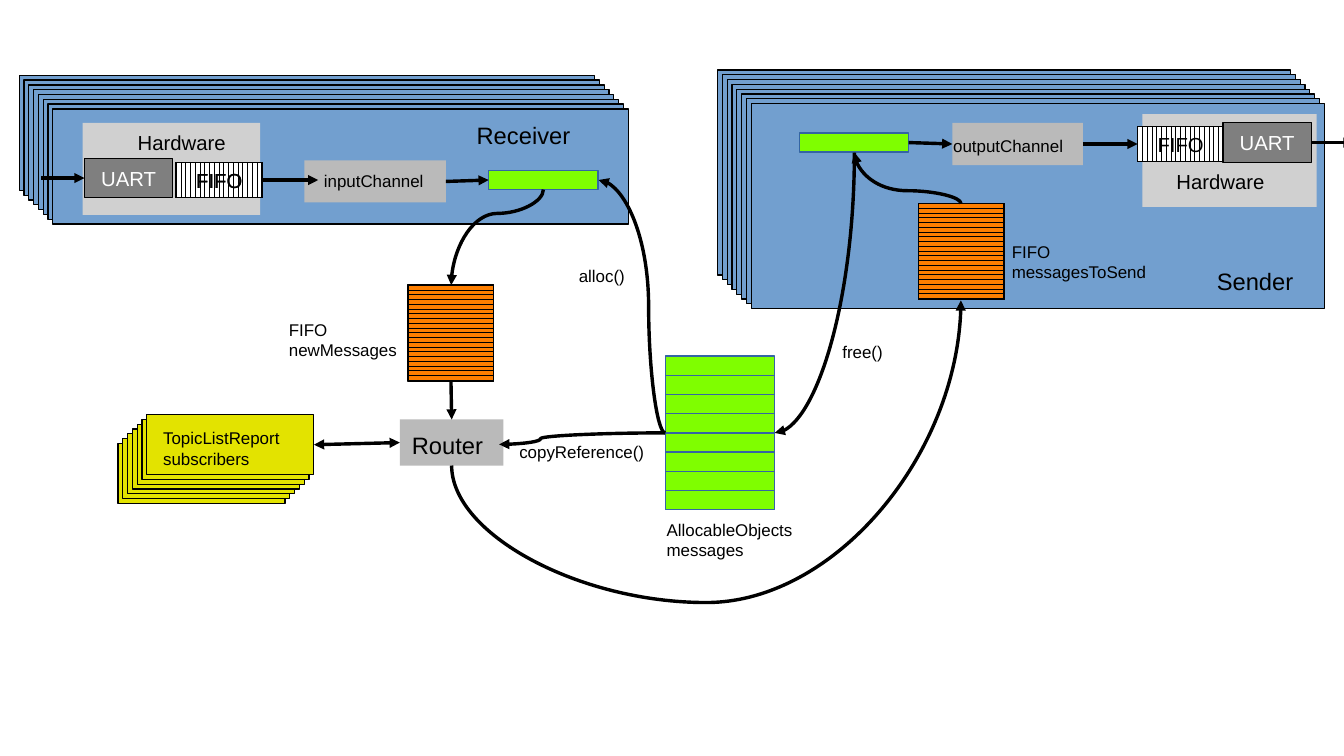
from math import cos, radians, sin

from lxml.etree import SubElement
from pptx import Presentation
from pptx.dml.color import RGBColor
from pptx.enum.dml import MSO_PATTERN
from pptx.enum.shapes import MSO_CONNECTOR, MSO_SHAPE
from pptx.enum.text import MSO_ANCHOR, PP_ALIGN
from pptx.oxml.ns import qn
from pptx.util import Cm, Pt

BLACK = RGBColor(0x00, 0x00, 0x00)
WHITE = RGBColor(0xFF, 0xFF, 0xFF)
PANEL_BLUE = RGBColor(0x72, 0x9F, 0xCF)
MESSAGE_GREEN = RGBColor(0x7F, 0xFE, 0x00)
MESSAGE_EDGE = RGBColor(0x34, 0x65, 0xA4)
QUEUE_ORANGE = RGBColor(0xFE, 0x7F, 0x00)
TOPIC_YELLOW = RGBColor(0xE3, 0xE3, 0x00)
HARDWARE_GRAY = RGBColor(0xD0, 0xD0, 0xD0)
CHANNEL_GRAY = RGBColor(0xBA, 0xBA, 0xBA)
UART_GRAY = RGBColor(0x7F, 0x7F, 0x7F)

TOP, LEFT, BOTTOM, RIGHT = range(4)


def add_span(para, text, size, color):
    """Add one run of text to a paragraph."""
    span = para.add_run()
    span.text = text
    span.font.name = "Arial"
    span.font.size = Pt(size)
    span.font.color.rgb = color


def add_box(page, left, top, width, height, fill, edge=None, text="", color=BLACK):
    """Draw a rectangle with an optional hairline and centred text."""
    box = page.shapes.add_shape(MSO_SHAPE.RECTANGLE, Cm(left), Cm(top), Cm(width), Cm(height))
    box.shadow.inherit = False
    if fill is None:
        box.fill.background()
    else:
        box.fill.solid()
        box.fill.fore_color.rgb = fill
    if edge is None:
        box.line.fill.background()
    else:
        box.line.color.rgb = edge
        box.line.width = Pt(0)
    if text:
        frame = box.text_frame
        frame.word_wrap = False
        frame.vertical_anchor = MSO_ANCHOR.MIDDLE
        para = frame.paragraphs[0]
        para.alignment = PP_ALIGN.CENTER
        add_span(para, text, 12, color)
    return box


def add_label(page, left, top, width, lines, size=10):
    """Write a left-aligned label, one paragraph per line."""
    box = page.shapes.add_textbox(Cm(left), Cm(top), Cm(width), Cm(0.4 * len(lines) + 0.3))
    frame = box.text_frame
    frame.word_wrap = True
    for index, line in enumerate(lines):
        para = frame.add_paragraph() if index else frame.paragraphs[0]
        add_span(para, line, size, BLACK)


def add_stack(page, count, left, top, width, height, step_down, fill):
    """Draw overlapping rectangles and return the front one."""
    for layer in range(count):
        front = add_box(page, left + 0.1 * layer, top + step_down * layer, width, height, fill, BLACK)
    return front


def add_hatched(page, left, top, width, height, fill, pattern, under="", over=""):
    """Lay a see-through line pattern over a filled rectangle."""
    add_box(page, left, top, width, height, fill, BLACK, under)
    hatch = add_box(page, left, top, width, height, None, BLACK, over)
    hatch.fill.patterned()
    hatch.fill.pattern = pattern
    hatch.fill.fore_color.rgb = BLACK
    return hatch


def add_queue(page, left, top):
    """Draw an orange message queue."""
    return add_hatched(page, left, top, 1.79, 2.0, QUEUE_ORANGE, MSO_PATTERN.from_xml("horz"))


def add_hardware_fifo(page, left, top, over=""):
    """Draw a striped hardware FIFO."""
    return add_hatched(page, left, top, 1.8, 0.74, WHITE, MSO_PATTERN.from_xml("vert"), "FIFO", over)


def add_uart(page, left, top):
    """Draw a UART block."""
    return add_box(page, left, top, 1.84, 0.82, UART_GRAY, BLACK, "UART", WHITE)


def add_message(page, left, top):
    """Draw one green message slot."""
    return add_box(page, left, top, 2.28, 0.4, MESSAGE_GREEN, MESSAGE_EDGE)


def style_arrow(connector, ends):
    """Give a connector its hairline and arrowheads."""
    connector.line.color.rgb = BLACK
    connector.line.width = Pt(0)
    properties = connector.element.spPr
    for end in ends:
        SubElement(properties.find(qn("a:ln")), qn(f"a:{end}"), type="triangle")
    SubElement(properties, qn("a:effectLst"))


def add_arrow(page, begin, end, ends=("tailEnd",)):
    """Draw a straight arrow between points or (shape, side) joints."""
    arrow = page.shapes.add_connector(MSO_CONNECTOR.STRAIGHT, 0, 0, 0, 0)
    if isinstance(begin[0], (int, float)):
        arrow.begin_x, arrow.begin_y = Cm(begin[0]), Cm(begin[1])
    else:
        arrow.begin_connect(*begin)
    if isinstance(end[0], (int, float)):
        arrow.end_x, arrow.end_y = Cm(end[0]), Cm(end[1])
    else:
        arrow.end_connect(*end)
    style_arrow(arrow, ends)


def add_curve(page, begin, end, turn, bend=None, ends=("tailEnd",)):
    """Draw a curved arrow leaving in the direction of turn degrees."""
    run, rise = end[0] - begin[0], end[1] - begin[1]
    angle = radians(turn)
    along = (run * cos(angle) + rise * sin(angle)) / 2
    across = (rise * cos(angle) - run * sin(angle)) / 2
    middle_x, middle_y = (begin[0] + end[0]) / 2, (begin[1] + end[1]) / 2
    curve = page.shapes.add_connector(
        MSO_CONNECTOR.CURVE,
        Cm(middle_x - along), Cm(middle_y - across),
        Cm(middle_x + along), Cm(middle_y + across),
    )
    properties = curve.element.spPr
    properties.find(qn("a:xfrm")).set("rot", str(turn * 60000))
    geometry = properties.find(qn("a:prstGeom"))
    if bend is None:
        geometry.set("prst", "curvedConnector2")
    else:
        guides = geometry.find(qn("a:avLst"))
        SubElement(guides, qn("a:gd"), name="adj1", fmla=f"val {round(bend * 100000)}")
    style_arrow(curve, ends)


def add_router(page):
    """Draw the router with its incoming queue and subscribers."""
    queue = add_queue(page, 8.5, 5.94)
    router = add_box(page, 8.33, 8.74, 2.16, 0.96, CHANNEL_GRAY)
    topics = add_stack(page, 7, 2.46, 9.24, 3.48, 1.25, -0.1, TOPIC_YELLOW)
    add_arrow(page, (queue, BOTTOM), (router, TOP))
    add_arrow(page, (topics, RIGHT), (router, LEFT), ("headEnd", "tailEnd"))
    add_label(page, 8.33, 8.86, 2.2, ["Router"], 14)
    add_label(page, 5.77, 6.53, 3.2, ["FIFO", "newMessages"])
    add_label(page, 3.15, 8.79, 3.25, ["TopicListReport", "subscribers"])


def add_message_pool(page):
    """Draw the pool of allocable messages."""
    for row in range(8):
        add_message(page, 13.86, 7.42 + 0.4 * row)
    add_label(page, 13.64, 10.69, 3.25, ["AllocableObjects", "messages"])


def add_sender(page):
    """Draw the stacked sender panels and their contents."""
    add_stack(page, 8, 14.95, 1.46, 11.94, 4.27, 0.1, PANEL_BLUE)
    add_box(page, 23.8, 2.38, 3.63, 1.93, HARDWARE_GRAY)
    fifo = add_hardware_fifo(page, 23.7, 2.63)
    uart = add_uart(page, 25.48, 2.56)
    channel = add_box(page, 19.84, 2.56, 2.72, 0.88, CHANNEL_GRAY)
    message = add_message(page, 16.65, 2.77)
    add_queue(page, 19.13, 4.24)
    add_arrow(page, (message, RIGHT), (channel, LEFT))
    add_arrow(page, (channel, RIGHT), (fifo, LEFT))
    add_arrow(page, (uart, RIGHT), (28.2, 2.97))
    add_label(page, 19.61, 2.69, 3.0, ["outputChannel"])
    add_label(page, 20.83, 4.9, 3.94, ["FIFO", "messagesToSend"])
    add_label(page, 24.26, 3.4, 2.82, ["Hardware"], 12)
    add_label(page, 25.1, 5.44, 3.05, ["Sender"], 14)


def add_receiver(page):
    """Draw the stacked receiver panels and their contents."""
    add_stack(page, 8, 0.4, 1.57, 11.99, 2.4, 0.1, PANEL_BLUE)
    add_box(page, 1.72, 2.56, 3.7, 1.92, HARDWARE_GRAY)
    uart = add_uart(page, 1.76, 3.3)
    fifo = add_hardware_fifo(page, 3.67, 3.38, "FIFO")
    channel = add_box(page, 6.34, 3.34, 2.95, 0.88, CHANNEL_GRAY)
    message = add_message(page, 10.18, 3.55)
    add_arrow(page, (0.86, 3.71), (uart, LEFT))
    add_arrow(page, (fifo, RIGHT), (6.63, 3.75))
    add_arrow(page, (channel, RIGHT), (message, LEFT))
    add_label(page, 6.5, 3.43, 4.83, ["inputChannel"])
    add_label(page, 2.62, 2.59, 2.72, ["Hardware"], 12)
    add_label(page, 9.68, 2.39, 3.05, ["Receiver"], 14)


def add_message_flow(page):
    """Draw the curved message paths and name their calls."""
    add_curve(page, (11.32, 3.95), (9.4, 5.94), 90, 0.25)
    add_curve(page, (13.86, 9.02), (12.47, 3.75), 180, 0.25)
    add_curve(page, (10.4, 9.26), (13.86, 9.02), 0, 0.25, ("headEnd",))
    add_curve(page, (9.41, 9.7), (20.02, 6.26), 90, -0.83)
    add_curve(page, (20.02, 4.24), (17.8, 3.18), 270, 0.25)
    add_curve(page, (17.8, 3.18), (16.14, 9.02), 90)
    add_label(page, 11.81, 5.41, 2.74, ["alloc()"])
    add_label(page, 17.3, 6.99, 2.74, ["free()"])
    add_label(page, 10.57, 9.07, 4.04, ["copyReference()"])


def main():
    """Build the message routing slide."""
    deck = Presentation()
    deck.slide_width, deck.slide_height = Cm(28), Cm(15.75)
    page = deck.slides.add_slide(deck.slide_layouts[6])
    add_router(page)
    add_message_pool(page)
    add_sender(page)
    add_receiver(page)
    add_message_flow(page)
    deck.save("out.pptx")


if __name__ == "__main__":
    main()
